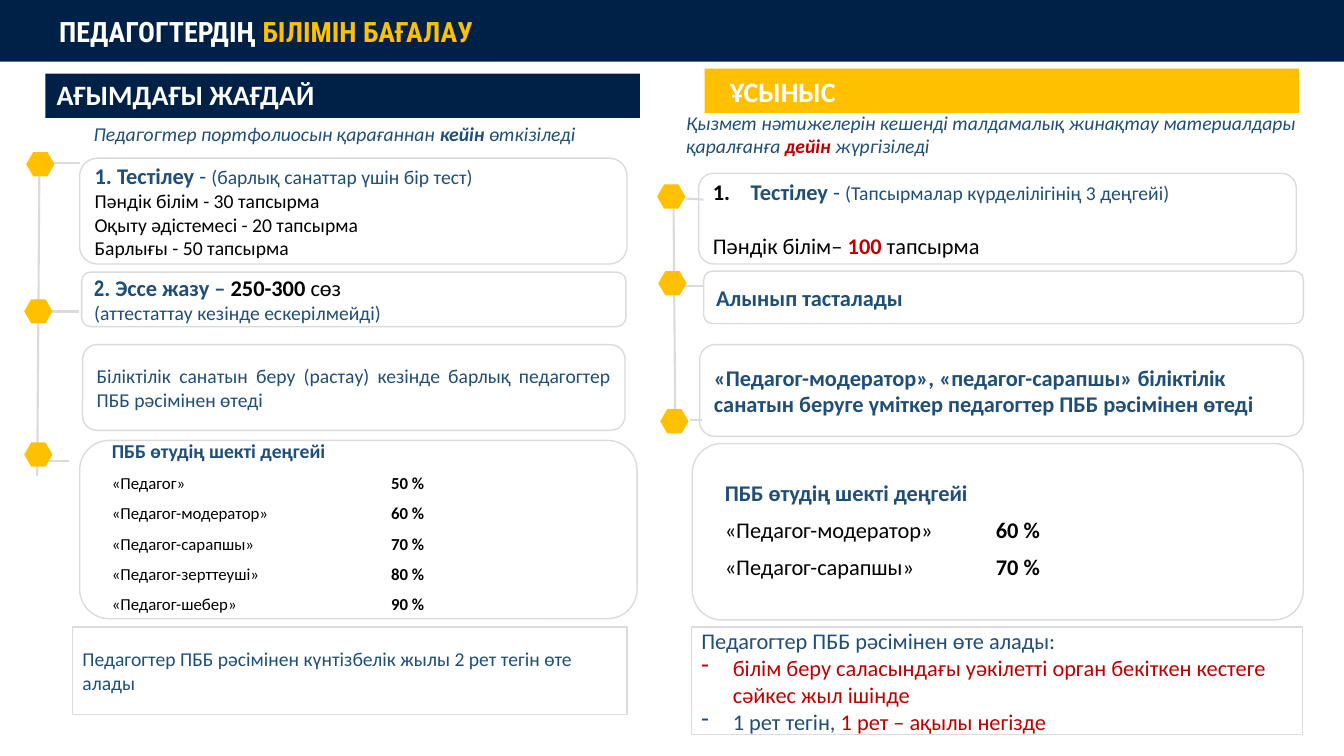
from lxml import etree
from pptx import Presentation
from pptx.dml.color import RGBColor
from pptx.enum.shapes import MSO_CONNECTOR, MSO_SHAPE
from pptx.enum.text import MSO_ANCHOR, MSO_AUTO_SIZE, PP_ALIGN
from pptx.oxml.ns import qn
from pptx.util import Pt

RECT, ROUND, HEXAGON = MSO_SHAPE.RECTANGLE, MSO_SHAPE.ROUNDED_RECTANGLE, MSO_SHAPE.HEXAGON
STRAIGHT = MSO_CONNECTOR.STRAIGHT
MIDDLE, TOP = MSO_ANCHOR.MIDDLE, MSO_ANCHOR.TOP
LEFT, JUSTIFY = PP_ALIGN.LEFT, PP_ALIGN.JUSTIFY
C = {"navy": "002147", "gold": "FFC000", "blue": "1F4E79", "red": "C00000",
     "grey": "DBDBDB", "black": "000000", "white": "FFFFFF"}
NO_STYLE = "{2D5ABB26-0587-4C30-8999-92F81FD0307C}"


def add_box(kind, x, y, w, h, fill=None, line=None):
    sp = s.shapes.add_shape(kind, Pt(x), Pt(y), Pt(w), Pt(h))
    sp.shadow.inherit = False
    if fill:
        sp.fill.solid()
        sp.fill.fore_color.rgb = RGBColor.from_string(C[fill])
    else:
        sp.fill.background()
    if line:
        sp.line.color.rgb = RGBColor.from_string(C[line])
        sp.line.width = Pt(1)
    else:
        sp.line.fill.background()
    return sp


def write(tf, paras, align=LEFT, anchor=MIDDLE, font="Calibri"):
    """Each paragraph is a list of runs: (text, size, colour, style letters)."""
    tf.word_wrap = True
    tf.vertical_anchor = anchor
    for i, runs in enumerate(paras):
        p = tf.paragraphs[0] if i == 0 else tf.add_paragraph()
        p.alignment = align
        for text, size, color, style in runs:
            r = p.add_run()
            r.text = text
            r.font.name = font
            r.font.size = Pt(size)
            r.font.bold = "b" in style
            r.font.italic = "i" in style
            r.font.color.rgb = RGBColor.from_string(C[color])


prs = Presentation()
prs.slide_width, prs.slide_height = Pt(960), Pt(540)
s = prs.slides.add_slide(prs.slide_layouts[5])

# Title band
add_box(RECT, 0, 0, 960, 44, fill="navy")
title = s.shapes.title
title.left, title.top, title.width, title.height = Pt(35), Pt(6.5), Pt(330), Pt(32)
title.text_frame.auto_size = MSO_AUTO_SIZE.NONE
write(title.text_frame, [[("ПЕДАГОГТЕРДІҢ ", 20, "white", "b"),
                          ("БІЛІМІН БАҒАЛАУ", 20, "gold", "b")]], font="Roboto Condensed")
s.shapes._spTree.append(title._element)

# Column headers: left, top, fill, left inset, bottom inset, text
for x, y, fill, inset, bottom, text in [(32.4, 52.6, "navy", 8, 6, "АҒЫМДАҒЫ ЖАҒДАЙ"),
                                        (503.3, 49, "gold", 18, 3, "ҰСЫНЫС")]:
    tf = add_box(RECT, x, y, 424.8, 31.7, fill=fill).text_frame
    tf.margin_left, tf.margin_bottom = Pt(inset), Pt(bottom)
    write(tf, [[(text, 20, "white", "b")]])

# Notes below the headers
notes = [
    (59.8, 83.5, 403, 24.5, [("Педагогтер портфолиосын қарағаннан ", 14, "blue", "i"),
                             ("кейін ", 14, "blue", "bi"), ("өткізіледі", 14, "blue", "i")]),
    (483.1, 75.6, 468.7, 41, [("Қызмет нәтижелерін кешенді талдамалық жинақтау материалдары "
                               "қаралғанға ", 14, "blue", "i"),
                              ("дейін ", 14, "red", "bi"), ("жүргізіледі", 14, "blue", "i")]),
]
for x, y, w, h, runs in notes:
    tb = s.shapes.add_textbox(Pt(x), Pt(y), Pt(w), Pt(h))
    write(tb.text_frame, [runs], anchor=TOP)

# Timelines: two rails and a branch for every marker
lines = [(28.1, 125.3, 26.6, 339.8), (481, 131.8, 482.4, 309.6),
         (36.7, 116.6, 56.9, 116.6), (36.7, 222.5, 56.2, 222.5), (29.5, 329.6, 49, 329.6),
         (489.6, 141.8, 502.6, 142.6), (483.1, 204.5, 502.6, 204.5), (493.2, 300.2, 501.8, 300.2)]
for x1, y1, x2, y2 in lines:
    cx = s.shapes.add_connector(STRAIGHT, Pt(x1), Pt(y1), Pt(x2), Pt(y2))
    cx.line.color.rgb = RGBColor.from_string(C["grey"])
    cx.line.width = Pt(1.5)
    etree.SubElement(cx._element.spPr, qn("a:effectLst"))
for x, y in [(18.7, 108.7), (17.3, 213.8), (17.3, 316.1),
             (469.4, 131.8), (470.2, 193.7), (471.6, 292.3)]:
    add_box(HEXAGON, x, y, 20.2, 17.3, fill="gold").adjustments[0] = 0.29

# Rounded cards
cards = [
    (56.9, 113, 391, 75.6, LEFT, [
        [("1. Тестілеу", 16, "blue", "b"), (" - ", 16, "blue", ""),
         ("(барлық санаттар үшін бір тест)", 14, "blue", "")],
        [("Пәндік білім - 30 тапсырма", 14, "black", "")],
        [("Оқыту әдістемесі - 20 тапсырма", 14, "black", "")],
        [("Барлығы - 50 тапсырма", 14, "black", "")]]),
    (58.3, 194.4, 388.8, 38.9, JUSTIFY, [
        [("2", 16, "blue", "b"), (". Эссе жазу – ", 16, "blue", "b"),
         ("250-300 ", 16, "black", "b"), ("сөз", 16, "black", "")],
        [("(аттестаттау кезінде ескерілмейді)", 14, "blue", "")]]),
    (59, 246.2, 387.4, 61.2, JUSTIFY, [
        [("Біліктілік санатын беру (растау) кезінде барлық педагогтер ПББ рәсімінен өтеді",
          14, "blue", "")]]),
    (56.9, 314.6, 398.2, 127.4, LEFT, []),
    (499, 123.8, 427, 64.8, LEFT, [
        [("Тестілеу", 16, "blue", "b"), (" - ", 16, "blue", ""),
         ("(Тапсырмалар күрделілігінің 3 деңгейі)", 14, "blue", "")],
        [("Пәндік білім– ", 16, "black", ""), ("100 ", 16, "red", "b"),
         ("тапсырма", 16, "black", "")]]),
    (502.6, 193.7, 428.4, 37.4, JUSTIFY, [[("Алынып тасталады", 16, "blue", "b")]]),
    (499.7, 246.2, 431.3, 65.5, LEFT, [
        [("«Педагог-модератор», «педагог-сарапшы» біліктілік санатын беруге үміткер "
          "педагогтер ПББ рәсімінен өтеді", 16, "blue", "b")]]),
    (494.6, 316.8, 436.3, 126, LEFT, []),
]
frames = []
for x, y, w, h, align, paras in cards:
    tf = add_box(ROUND, x, y, w, h, line="grey").text_frame
    write(tf, paras, align)
    frames.append(tf)
frames[1].paragraphs[0].runs[0].font.name = "Arial Narrow"
test_item, subject_line = frames[4].paragraphs
subject_line.space_before = Pt(19.5)

# Attempts allowed
attempts = [
    (51.8, 447.8, 396, 62.6, [
        [("Педагогтер ПББ рәсімінен күнтізбелік жылы 2 рет тегін өте алады", 14, "blue", "")]]),
    (493.9, 447.8, 436.3, 77, [
        [("Педагогтер ПББ рәсімінен өте алады:", 16, "blue", "")],
        [("білім беру саласындағы уәкілетті орган бекіткен кестеге сәйкес жыл ішінде",
          16, "red", "")],
        [("1 рет тегін, ", 16, "blue", ""), ("1 рет – ақылы негізде", 16, "red", "")]]),
]
for x, y, w, h, paras in attempts:
    tf = add_box(RECT, x, y, w, h, fill="white", line="grey").text_frame
    tf.margin_top = tf.margin_bottom = 0
    write(tf, paras)

# List markers: paragraph, indent, element, attributes, colour
dash = ("buChar", {"char": "-"})
for p, indent, (tag, attrs), color in [
        (test_item, 27, ("buAutoNum", {"type": "arabicPeriod"}), "black"),
        (tf.paragraphs[1], 22.5, dash, "red"), (tf.paragraphs[2], 22.5, dash, "blue")]:
    pPr = p._p.get_or_add_pPr()
    pPr.set("marL", str(Pt(indent)))
    pPr.set("indent", str(-Pt(indent)))
    clr = etree.SubElement(pPr, qn("a:buClr"))
    etree.SubElement(clr, qn("a:srgbClr"), val=C[color])
    etree.SubElement(pPr, qn("a:" + tag), attrs)

# Pass mark tables: left, top, column widths, heading height and size, row height and size, rows
tables = [
    (72.7, 310.3, (199.4, 182.2), 24.3, 14, 21.7, 12,
     [("«Педагог»", "50 %"), ("«Педагог-модератор»", "60 %"), ("«Педагог-сарапшы»", "70 %"),
      ("«Педагог-зерттеуші»", "80 %"), ("«Педагог-шебер»", "90 %")]),
    (510.5, 339.1, (193.7, 187.9), 26.7, 16, 26.7, 16,
     [("«Педагог-модератор»", "60 %"), ("«Педагог-сарапшы»", "70 %")]),
]
for x, y, widths, head_h, head_size, row_h, size, rows in tables:
    n = len(rows) + 1
    frame = s.shapes.add_table(n, 2, Pt(x), Pt(y), Pt(sum(widths)), Pt(head_h + row_h * (n - 1)))
    t = frame.table
    t.first_row = t.horz_banding = False
    t._tbl.tblPr.find(qn("a:tableStyleId")).text = NO_STYLE
    for col, width in zip(t.columns, widths):
        col.width = Pt(width)
    for i, row in enumerate(t.rows):
        row.height = Pt(row_h if i else head_h)
        for cell in row.cells:
            cell.fill.background()
    t.cell(0, 0).merge(t.cell(0, 1))
    write(t.cell(0, 0).text_frame, [[("ПББ өтудің шекті деңгейі", head_size, "blue", "b")]])
    for i, (level, mark) in enumerate(rows, 1):
        write(t.cell(i, 0).text_frame, [[(level, size, "black", "")]])
        write(t.cell(i, 1).text_frame, [[(mark, size, "black", "b")]])

prs.save("out.pptx")
